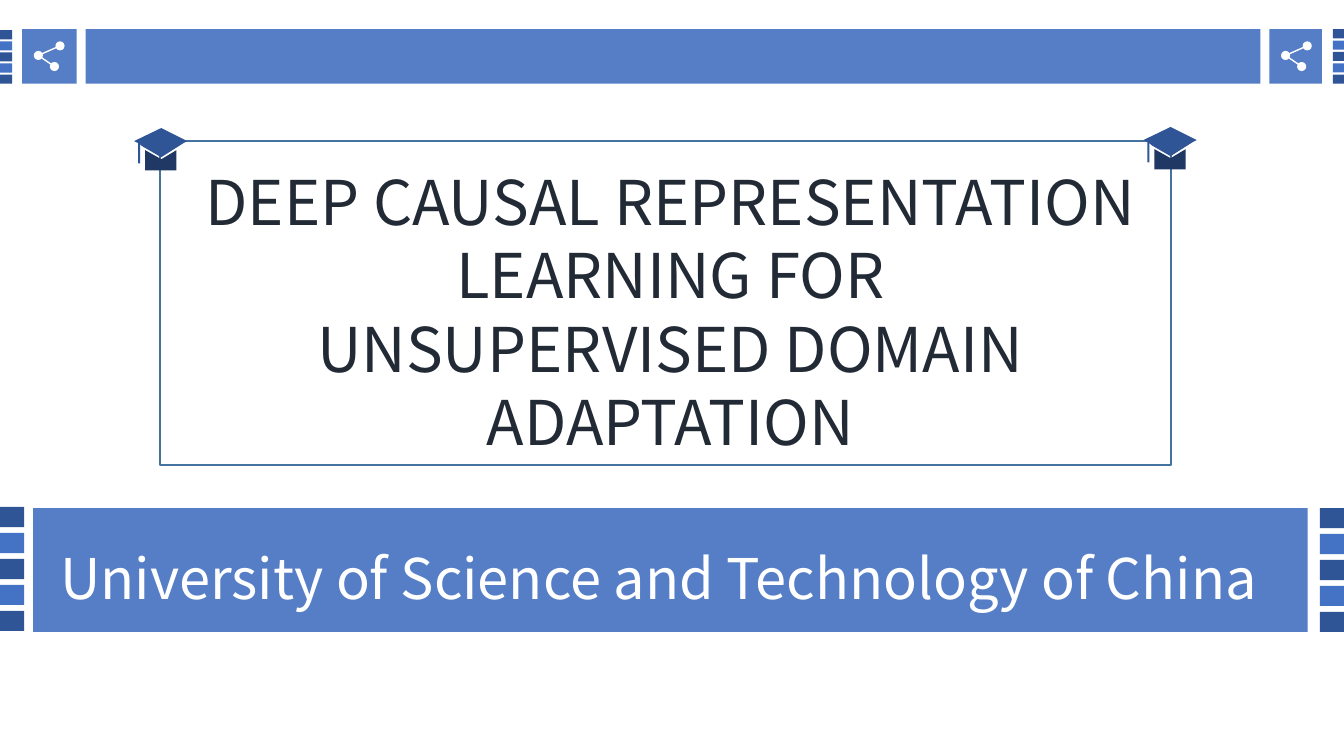
import pptx
import pptx.util
import pptx.dml.color
import pptx.enum.shapes
import pptx.enum.text
import lxml.etree

Inches = pptx.util.Inches
Pt = pptx.util.Pt
MSO = pptx.enum.shapes.MSO_SHAPE
ALIGN = pptx.enum.text.PP_ALIGN
DRAWING = "http://schemas.openxmlformats.org/drawingml/2006/main"


def color(value):
    return pptx.dml.color.RGBColor.from_string(value)


def paint(sp, fill):
    sp.shadow.inherit = False
    sp.fill.solid()
    sp.fill.fore_color.rgb = color(fill)
    sp.line.fill.background()


prs = pptx.Presentation()
prs.slide_width = Inches(13.33)
prs.slide_height = Inches(7.5)
s = prs.slides.add_slide(prs.slide_layouts[0])

bands = [
    (0.33, 5.04, 12.64, 1.23),
    (0.22, 0.29, 0.54, 0.54),
    (0.85, 0.29, 11.65, 0.54),
    (12.59, 0.29, 0.52, 0.54),
]
for box in bands:
    sp = s.shapes.add_shape(MSO.RECTANGLE, *map(Inches, box))
    paint(sp, "567EC6")

rails = [
    (13.09, 5.04, 0.25, 0.2, 0.2575),
    (-0.01, 5.03, 0.25, 0.2, 0.2575),
    (0, 0.3, 0.12, 0.09, 0.11),
    (13.22, 0.29, 0.12, 0.09, 0.1125),
]
for x, y, w, h, step in rails:
    for i in range(5):
        sp = s.shapes.add_shape(MSO.RECTANGLE, Inches(x), Inches(y + i * step), Inches(w), Inches(h))
        paint(sp, ["2F5597", "4472C4"][i % 2])

hub, upper, lower = (0.05, 0.14), (0.265, 0.045), (0.21, 0.25)
for x, y in [(0.33, 0.41), (12.7, 0.41)]:
    for node in [upper, lower]:
        link = s.shapes.add_connector(
            pptx.enum.shapes.MSO_CONNECTOR.STRAIGHT,
            Inches(x + hub[0]), Inches(y + hub[1]), Inches(x + node[0]), Inches(y + node[1]),
        )
        link.line.color.rgb = color("FFFFFF")
        link.line.width = Pt(1)
        lxml.etree.SubElement(link.element.spPr, f"{{{DRAWING}}}effectLst")
    for cx, cy in [hub, upper, lower]:
        sp = s.shapes.add_shape(MSO.OVAL, Inches(x + cx - 0.045), Inches(y + cy - 0.045), Inches(0.09), Inches(0.09))
        paint(sp, "FFFFFF")

frame = s.shapes.add_shape(MSO.RECTANGLE, Inches(1.59), Inches(1.4), Inches(10.02), Inches(3.21))
frame.shadow.inherit = False
frame.fill.background()
frame.line.color.rgb = color("43739E")
frame.line.width = Pt(1.5)

board = [(0.08, 0.18), (0.27, 0.29), (0.49, 0.15), (0.53, 0.13), (0.27, 0), (0, 0.13),
         (0.04, 0.15), (0.04, 0.35), (0.06, 0.35), (0.06, 0.16)]
cap = [(0.11, 0.22), (0.27, 0.31), (0.42, 0.22), (0.42, 0.42), (0.11, 0.42)]
for x, y in [(11.34, 1.26), (1.33, 1.27)]:
    for outline, fill in [(board, "2F5597"), (cap, "203864")]:
        points = [(Inches(x + dx), Inches(y + dy)) for dx, dy in outline]
        builder = s.shapes.build_freeform(*points[0])
        builder.add_line_segments(points[1:], close=True)
        paint(builder.convert_to_shape(), fill)

texts = [
    (s.shapes.title, (1.75, 1.52, 9.8, 3.06), 44, 52.4, "222A35", ALIGN.CENTER,
     ["DEEP CAUSAL REPRESENTATION LEARNING FOR", "UNSUPERVISED DOMAIN ADAPTATION"]),
    (s.placeholders[1], (0.5, 5.28, 12.51, 0.77), 40, 48, "FFFFFF", ALIGN.LEFT,
     ["University of Science and Technology of China"]),
]
for sp, box, size, spacing, fill, align, lines in texts:
    sp.left, sp.top, sp.width, sp.height = map(Inches, box)
    sp.element.getparent().append(sp.element)
    tf = sp.text_frame
    tf.text = "\n".join(lines)
    tf.word_wrap = True
    tf.auto_size = pptx.enum.text.MSO_AUTO_SIZE.NONE
    tf.vertical_anchor = pptx.enum.text.MSO_ANCHOR.TOP
    tf.margin_left = tf.margin_right = Inches(0.1)
    tf.margin_top = Inches(0.11)
    tf.margin_bottom = Inches(0)
    for p in tf.paragraphs:
        p.alignment = align
        p.line_spacing = Pt(spacing)
        p.space_before = Pt(0)
        p.font.name = "Noto Sans CJK SC"
        p.font.size = Pt(size)
        p.font.color.rgb = color(fill)

prs.save("out.pptx")
